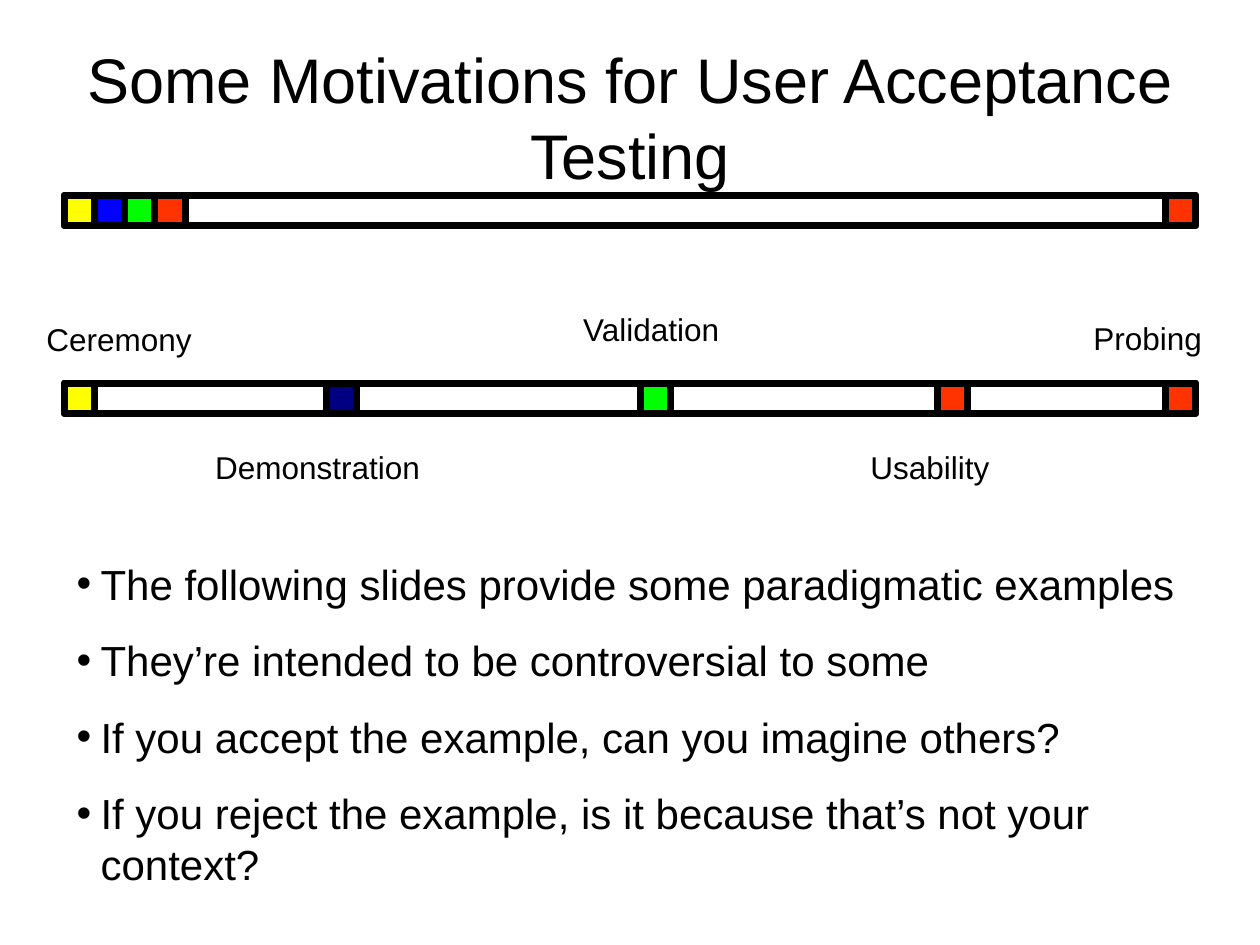
from dataclasses import dataclass

from lxml.etree import SubElement
from pptx import Presentation
from pptx.dml.color import RGBColor
from pptx.enum.shapes import MSO_SHAPE as Preset
from pptx.enum.text import MSO_ANCHOR as Anchor, MSO_AUTO_SIZE as AutoSize, PP_ALIGN as Align
from pptx.oxml.ns import qn
from pptx.util import Inches, Pt

SLIDE_WIDTH, SLIDE_HEIGHT = 10, 7.5
BAR_LEFT, BAR_WIDTH, CELL = 0.51, 8.98, 0.24
BAR_END = BAR_LEFT + BAR_WIDTH - CELL


@dataclass(frozen=True)
class Theme:
    """Colours, font and type sizes of the slide."""
    font: str = "Arial"
    title_size: float = 36
    body_size: float = 24
    label_size: float = 18
    outline: float = 4
    ink: str = "000000"
    yellow: str = "FFFF00"
    blue: str = "0000FF"
    navy: str = "000080"
    green: str = "00FF00"
    red: str = "FF3300"


def add_text(paragraph, text, *, size, font, color, align=Align.LEFT, before=0,
             bullet_indent=None):
    """Put formatted text in a paragraph, with a hanging bullet if asked."""
    paragraph.alignment = align
    paragraph.space_before = Pt(before)
    run = paragraph.add_run()
    run.text = text
    run.font.name, run.font.size = font, Pt(size)
    run.font.color.rgb = RGBColor.from_string(color)
    if bullet_indent:
        properties = paragraph._p.get_or_add_pPr()
        properties.set("marL", str(Inches(bullet_indent)))
        properties.set("indent", str(-Inches(bullet_indent)))
        bullet_color = SubElement(properties, qn("a:buClr"))
        SubElement(bullet_color, qn("a:srgbClr"), val=color)
        SubElement(properties, qn("a:buFont"), typeface=font)
        SubElement(properties, qn("a:buChar"), char="•")


class SlideBuilder:
    """Draws styled elements on one slide."""

    def __init__(self, slide, theme):
        """Keep the slide and its style."""
        self.slide, self.theme = slide, theme

    def themed_text(self, paragraph, text, size, **options):
        """Add text in the theme's font and ink."""
        add_text(paragraph, text, size=size, font=self.theme.font, color=self.theme.ink, **options)

    def title(self, text, left, top, width, height):
        """Place and fill the title placeholder."""
        shape = self.slide.shapes.title
        shape.left, shape.top = Inches(left), Inches(top)
        shape.width, shape.height = Inches(width), Inches(height)
        frame = shape.text_frame
        frame.auto_size, frame.word_wrap = AutoSize.NONE, True
        frame.vertical_anchor = Anchor.MIDDLE
        self.themed_text(frame.paragraphs[0], text, self.theme.title_size, align=Align.CENTER)

    def box(self, left, top, width, fill=None):
        """Draw an outlined rectangle one cell high."""
        shape = self.slide.shapes.add_shape(
            Preset.RECTANGLE, Inches(left), Inches(top), Inches(width), Inches(CELL))
        shape.shadow.inherit = False
        if fill:
            shape.fill.solid()
            shape.fill.fore_color.rgb = RGBColor.from_string(fill)
        else:
            shape.fill.background()
        shape.line.color.rgb = RGBColor.from_string(self.theme.ink)
        shape.line.width = Pt(self.theme.outline)

    def bar(self, top, marks):
        """Draw a full-width bar with coloured cells at given positions."""
        self.box(BAR_LEFT, top, BAR_WIDTH)
        for left, fill in marks:
            self.box(left, top, CELL, fill)

    def text(self, lines, left, top, width, height, size, **options):
        """Add a wrapping text box with one paragraph per line."""
        shape = self.slide.shapes.add_textbox(
            Inches(left), Inches(top), Inches(width), Inches(height))
        frame = shape.text_frame
        frame.word_wrap, frame.auto_size = True, AutoSize.SHAPE_TO_FIT_TEXT
        for index, line in enumerate(lines):
            paragraph = frame.add_paragraph() if index else frame.paragraphs[0]
            self.themed_text(paragraph, line, size, **options)


def main():
    """Build and save the slide."""
    presentation = Presentation()
    presentation.slide_width = Inches(SLIDE_WIDTH)
    presentation.slide_height = Inches(SLIDE_HEIGHT)
    theme = Theme()
    builder = SlideBuilder(presentation.slides.add_slide(presentation.slide_layouts[5]), theme)

    colors = (theme.yellow, theme.blue, theme.green, theme.red)
    header_marks = [(BAR_LEFT + index * CELL, color) for index, color in enumerate(colors)]
    builder.bar(1.55, header_marks + [(BAR_END, theme.red)])
    builder.title("Some Motivations for User Acceptance Testing", 0, 0.3, SLIDE_WIDTH, 1.25)

    builder.bar(3.04, [(BAR_LEFT, theme.yellow), (2.59, theme.navy), (5.08, theme.green),
                       (7.44, theme.red), (BAR_END, theme.red)])
    labels = [("Ceremony", 0.27, 2.49, 1.42), ("Demonstration", 1.61, 3.51, 2.13),
              ("Usability", 6.81, 3.51, 1.42), ("Validation", 4.53, 2.41, 1.42),
              ("Probing", 8.58, 2.48, 1.42)]
    for label, left, top, width in labels:
        builder.text([label], left, top, width, 0.4, theme.label_size, before=11.2)

    builder.text(["The following slides provide some paradigmatic examples",
                  "They’re intended to be controversial to some",
                  "If you accept the example, can you imagine others?",
                  "If you reject the example, is it because that’s not your context?"],
                 BAR_LEFT, 4.38, 9.06, 2.73, theme.body_size, before=15, bullet_indent=0.19)
    presentation.save("out.pptx")


main()
